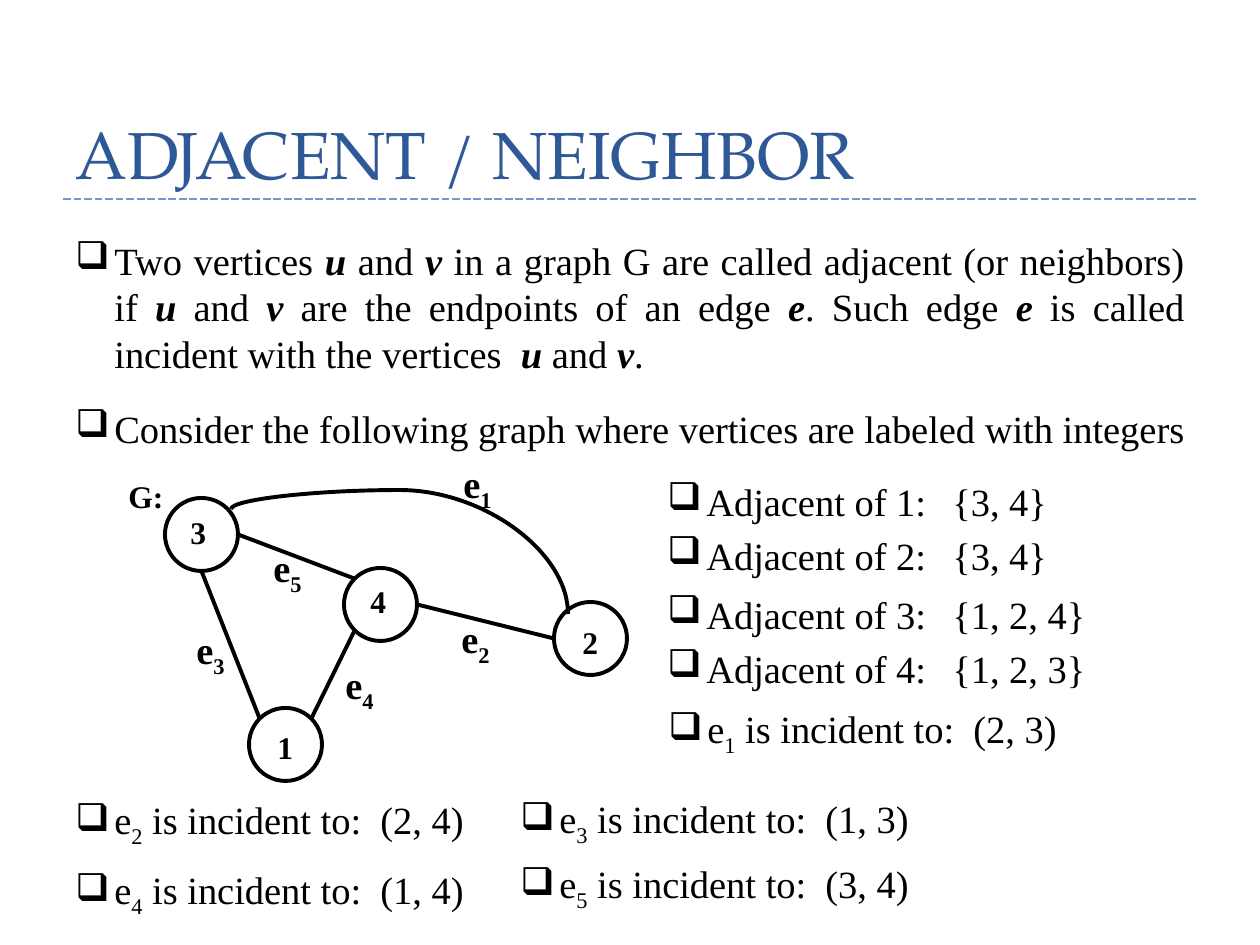
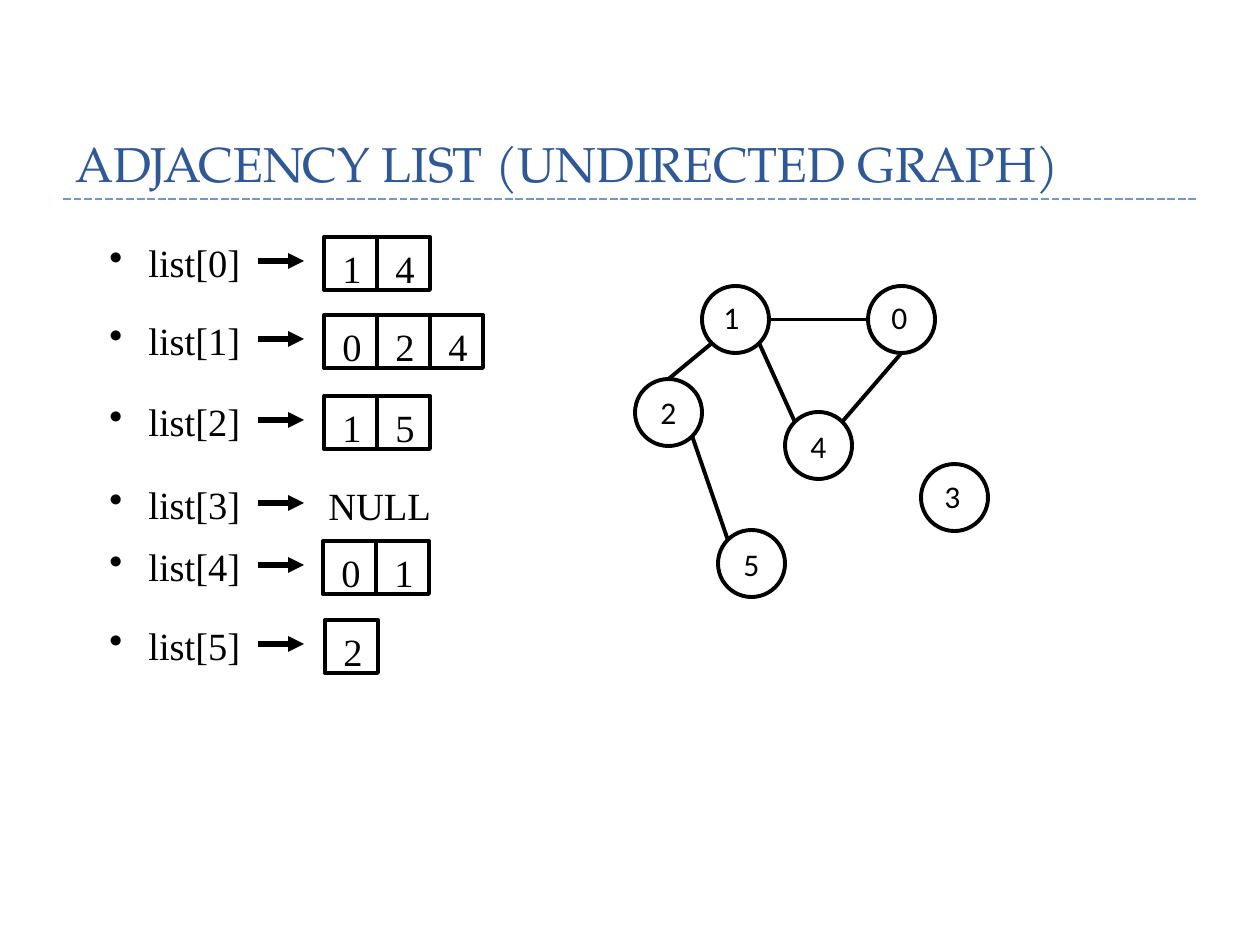
from math import cos, radians, sin

from lxml import etree
from pptx import Presentation
from pptx.dml.color import RGBColor
from pptx.enum.dml import MSO_LINE
from pptx.enum.shapes import MSO_CONNECTOR, MSO_SHAPE
from pptx.enum.text import MSO_ANCHOR, MSO_AUTO_SIZE, PP_ALIGN
from pptx.oxml.ns import qn
from pptx.util import Emu, Pt

SCALE = 914400 / 126
STRAIGHT, CURVE = MSO_CONNECTOR.STRAIGHT, MSO_CONNECTOR.CURVE
OVAL, RECTANGLE = MSO_SHAPE.OVAL, MSO_SHAPE.RECTANGLE
DASHES = MSO_LINE.SQUARE_DOT
BOTTOM = MSO_ANCHOR.BOTTOM
FIXED, GROW = MSO_AUTO_SIZE.NONE, MSO_AUTO_SIZE.SHAPE_TO_FIT_TEXT
LEFT, JUSTIFY = PP_ALIGN.LEFT, PP_ALIGN.JUSTIFY

BLACK, TITLE_BLUE, RULE_BLUE = "000000", "2F5897", "7097D3"
SERIF = "Times New Roman"
BODY = {"name": SERIF, "size": Pt(22)}
BODY_BOLD = {**BODY, "bold": True}
NODE_BOLD = {"name": SERIF, "size": Pt(18), "bold": True}
NODE_PLAIN = {"name": "Calibri", "size": Pt(18)}
CHECKBOX, DOT = "❑", "•"
INDENT = 39
LINE_HEIGHT = 59
CELL = 53
DEGREES = {"E": 0, "SE": 45, "S": 90, "SW": 135,
           "W": 180, "NW": 225, "N": 270, "NE": 315}


def px(length):
    """Turn a length in px into EMU."""
    return Emu(round(length * SCALE))


def color(value):
    """Turn a hex string into a colour."""
    return RGBColor.from_string(value)


def apply_format(target, values):
    """Set each attribute in values on the target."""
    for name, value in values.items():
        setattr(target, name, value)


def add_runs(paragraph, text, font, ink=BLACK):
    """Write text where *x* is bold italic and ~x~ is subscript."""
    for part_index, part in enumerate(text.split("*")):
        for piece_index, piece in enumerate(part.split("~")):
            if not piece:
                continue
            run = paragraph.add_run()
            run.text = piece
            apply_format(run.font, font)
            run.font.color.rgb = color(ink)
            if part_index % 2:
                apply_format(run.font, {"bold": True, "italic": True})
            if piece_index % 2:
                run.font._element.set("baseline", "-25000")


def add_text(slide, box, text, font=BODY, bullet=None, wrap=False, align=LEFT):
    """Add one paragraph of text, with a bullet if one is given."""
    shape = slide.shapes.add_textbox(*map(px, box))
    apply_format(shape.text_frame, {"word_wrap": wrap, "auto_size": GROW})
    paragraph = shape.text_frame.paragraphs[0]
    paragraph.alignment = align
    if bullet:
        properties = paragraph._p.get_or_add_pPr()
        properties.set("marL", str(px(INDENT)))
        properties.set("indent", str(-px(INDENT)))
        etree.SubElement(properties, qn("a:buChar")).set("char", bullet)
    add_runs(paragraph, text, font)


def add_line(slide, start, end, width=2.25, ink=BLACK, kind=STRAIGHT):
    """Add a connector without shadow."""
    connector = slide.shapes.add_connector(kind, *map(px, (*start, *end)))
    connector.line.color.rgb = color(ink)
    connector.line.width = Pt(width)
    etree.SubElement(connector._element.spPr, qn("a:effectLst"))
    return connector


def add_arrow(slide, start, end):
    """Add a thick line with an arrowhead at its end."""
    outline = add_line(slide, start, end, 3).line._get_or_add_ln()
    etree.SubElement(outline, qn("a:tailEnd")).set("type", "triangle")


def add_arch(slide, start, end, rise):
    """Add a curve that leaves start upwards by rise and falls to end."""
    width, height = end[0] - start[0], end[1] - start[1]
    left = (start[0] + end[0] - height) / 2
    top = (start[1] + end[1] - width) / 2
    connector = add_line(slide, (left, top), (left + height, top + width),
                         kind=CURVE)
    properties = connector._element.spPr
    frame = properties.find(qn("a:xfrm"))
    frame.set("rot", "16200000")
    frame.set("flipH", "1")
    adjustments = properties.find(qn("a:prstGeom")).find(qn("a:avLst"))
    guide = etree.SubElement(adjustments, qn("a:gd"))
    guide.set("name", "adj1")
    guide.set("fmla", f"val {round(-100000 * rise / height)}")


def add_outline(slide, kind, left, top, size):
    """Add an unfilled black outline of equal width and height."""
    shape = slide.shapes.add_shape(kind, *map(px, (left, top, size, size)))
    shape.shadow.inherit = False
    shape.fill.background()
    shape.line.color.rgb = color(BLACK)
    shape.line.width = Pt(2.25)


def add_title_slide(presentation, title, size):
    """Add a slide with the shared title style and dashed rule."""
    slide = presentation.slides.add_slide(presentation.slide_layouts[5])
    add_line(slide, (63, 199), (1197, 199), 1.5, RULE_BLUE).line.dash_style = DASHES
    shape = slide.shapes.title
    apply_format(shape, {"left": px(63), "top": px(-21),
                         "width": px(1134), "height": px(220)})
    apply_format(shape.text_frame, {"vertical_anchor": BOTTOM, "word_wrap": True,
                                    "auto_size": FIXED})
    paragraph = shape.text_frame.paragraphs[0]
    apply_format(paragraph, {"alignment": LEFT, "line_spacing": Pt(58)})
    add_runs(paragraph, title, {"name": "TeX Gyre Pagella", "size": Pt(size)},
             TITLE_BLUE)
    return slide


def add_graph(slide, left, top, diameter, nodes, edges, font):
    """Draw labelled circles and the edges between their rims."""
    radius = diameter / 2

    def rim(name, side):
        x, y = nodes[name][:2]
        angle = radians(DEGREES[side])
        return (left + x + radius * (1 + cos(angle)),
                top + y + radius * (1 + sin(angle)))

    for x, y, _, _ in nodes.values():
        add_outline(slide, OVAL, left + x, top + y, diameter)
    for first, first_side, second, second_side in edges:
        add_line(slide, rim(first, first_side), rim(second, second_side))
    for name, (x, y, shift_x, shift_y) in nodes.items():
        add_text(slide, (left + x + shift_x, top + y + shift_y, 42, 50), name, font)


def add_edge_graph(slide, left, top):
    """Draw the graph with named edges and its arched edge."""
    nodes = {"3": (49, 44, 13, 9), "4": (228, 114, 14, 8),
             "1": (133, 254, 16, 14), "2": (438, 148, 16, 15)}
    edges = [("3", "E", "4", "NW"), ("4", "E", "2", "W"),
             ("4", "SW", "1", "NE"), ("3", "S", "1", "NW")]
    add_graph(slide, left, top, 73, nodes, edges, NODE_BOLD)
    add_arch(slide, (left + 115, top + 55), (left + 452, top + 160), 19)
    add_text(slide, (left, top + 17, 60, 50), "G:", NODE_BOLD)
    places = [(335, 0), (333, 155), (68, 166), (217, 201), (145, 84)]
    for number, (x, y) in enumerate(places, 1):
        add_text(slide, (left + x, top + y, 55, LINE_HEIGHT), f"e~{number}~", BODY_BOLD)


def add_fact(slide, left, top, label, label_width, answer, answer_shift):
    """Write a checked label and its answer beside it."""
    add_text(slide, (left, top, label_width, LINE_HEIGHT), label, bullet=CHECKBOX)
    answer_width = {6: 110, 9: 160}[len(answer)] if answer[0] == "(" else (
        121 if len(answer) == 6 else 160)
    add_text(slide, (left + answer_shift, top, answer_width, LINE_HEIGHT), answer)


def add_adjacent_facts(slide, left, top):
    """List the neighbours of each vertex."""
    rows = [(0, "{3, 4}"), (54, "{3, 4}"), (113, "{1, 2, 4}"), (167, "{1, 2, 3}")]
    for number, (y, answer) in enumerate(rows, 1):
        add_fact(slide, left, top + y, f"Adjacent of {number}:", 287, answer, 285)


def add_incident_facts(slide, left, top):
    """List the end vertices of each edge."""
    rows = [(593, -91, "(2, 3)"), (0, 0, "(2, 4)"), (445, -1, "(1, 3)"),
            (0, 70, "(1, 4)"), (445, 64, "(3, 4)")]
    for number, (x, y, answer) in enumerate(rows, 1):
        add_fact(slide, left + x, top + y, f"e~{number}~ is incident to:", 316,
                 answer, 305)


def add_list_row(slide, left, top, name, values, cells_left):
    """Draw a list name, its arrow and its cells, or NULL when empty."""
    add_text(slide, (left, top, 159, LINE_HEIGHT), name, bullet=DOT)
    add_arrow(slide, (left + 161, top + 28), (left + 207, top + 28))
    if not values:
        add_text(slide, (left + 219, top + 1, 130, LINE_HEIGHT), "NULL")
    for index, value in enumerate(values):
        x = left + cells_left + index * CELL
        add_outline(slide, RECTANGLE, x, top + 4, CELL)
        add_text(slide, (x + 6, top + 6, 45, LINE_HEIGHT), value)


def add_adjacency_lists(slide, left, top):
    """Draw one row for each vertex."""
    rows = [(0, "14", 227), (78, "024", 227), (159, "15", 227),
            (242, "", 227), (304, "01", 226), (383, "2", 228)]
    for number, (y, values, cells_left) in enumerate(rows):
        add_list_row(slide, left, top + y, f"list[{number}]", values, cells_left)


def build_adjacent_slide(presentation):
    """Build the slide that defines adjacent vertices."""
    slide = add_title_slide(presentation, "ADJACENT / NEIGHBOR", 38)
    add_text(slide, (63, 231, 1134, 152),
             "Two vertices *u* and *v* in a graph G are called adjacent (or neighbors) "
             "if *u* and *v* are the endpoints of an edge *e*. Such edge *e* is called "
             "incident with the vertices  *u* and *v*.",
             bullet=CHECKBOX, wrap=True, align=JUSTIFY)
    add_text(slide, (63, 399, 1158, LINE_HEIGHT),
             "Consider the following graph where vertices are labeled with integers",
             bullet=CHECKBOX)
    add_edge_graph(slide, 116, 454)
    add_adjacent_facts(slide, 655, 472)
    add_incident_facts(slide, 63, 790)


def build_list_slide(presentation):
    """Build the slide with adjacency lists and their graph."""
    slide = add_title_slide(presentation, "ADJACENCY LIST (UNDIRECTED GRAPH)", 28)
    add_adjacency_lists(slide, 97, 233)
    nodes = {"0": (233, 0, 11, 6), "1": (67, 0, 9, 6), "2": (0, 93, 13, 8),
             "3": (286, 178, 11, 7), "4": (150, 126, 13, 9), "5": (83, 244, 13, 9)}
    edges = [("1", "E", "0", "W"), ("1", "SW", "2", "N"), ("2", "SE", "5", "NW"),
             ("4", "NE", "0", "S"), ("1", "SE", "4", "NW")]
    add_graph(slide, 635, 286, 67, nodes, edges, NODE_PLAIN)


def main():
    """Build and save the presentation."""
    presentation = Presentation()
    apply_format(presentation, {"slide_width": px(1260), "slide_height": px(945)})
    build_adjacent_slide(presentation)
    build_list_slide(presentation)
    presentation.save("out.pptx")


if __name__ == "__main__":
    main()
